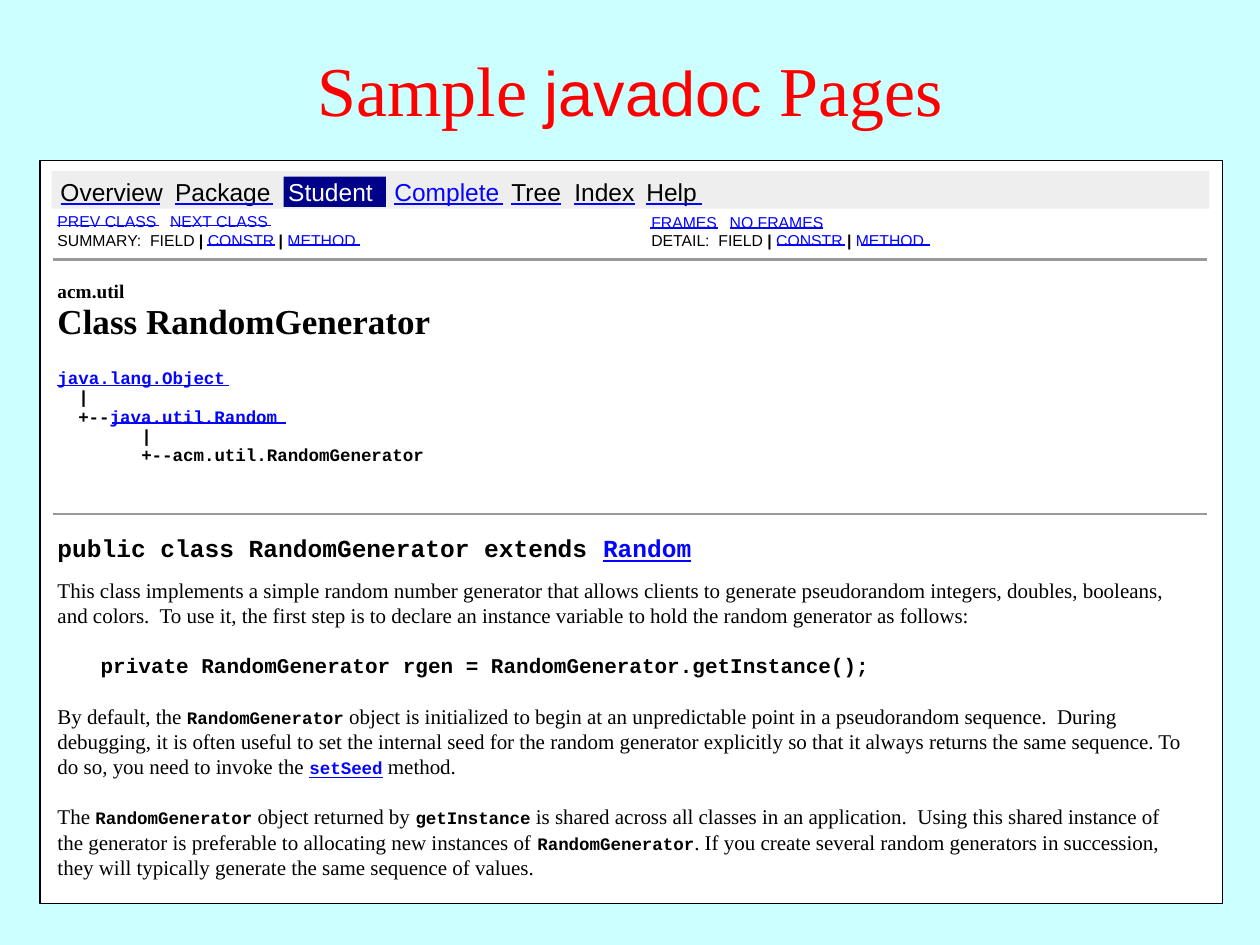
"""Build a slide showing a sample javadoc page for the RandomGenerator class."""
from lxml.etree import SubElement
from pptx import Presentation
from pptx.dml.color import RGBColor
from pptx.enum.shapes import MSO_CONNECTOR, MSO_SHAPE
from pptx.enum.text import MSO_ANCHOR, PP_ALIGN
from pptx.oxml.ns import qn
from pptx.util import Cm, Pt

BLACK, BLUE, RED, WHITE, GRAY = "000000", "0404FF", "FF0000", "FFFFFF", "999999"
SERIF, SANS, MONO = "Times New Roman", "Arial", "Courier New"
INSET = 0.25
PAGE_LEFT = 0.91
DETAIL_LEFT = 12.88

STYLES = {
    "title": (SERIF, 40, RED, False, False),
    "title sans": (SANS, 36, RED, False, False),
    "menu": (SANS, 14, BLACK, False, False),
    "menu link": (SANS, 14, BLUE, False, False),
    "menu current": (SANS, 14, WHITE, False, False),
    "small": (SANS, 9, BLACK, False, False),
    "small bold": (SANS, 9, BLACK, True, False),
    "small link": (SANS, 9, BLUE, False, False),
    "package": (SERIF, 11, BLACK, True, False),
    "class": (SERIF, 20, BLACK, True, False),
    "tree": (MONO, 10, BLACK, True, False),
    "tree link": (MONO, 10, BLUE, True, False),
    "declaration": (MONO, 14, BLACK, True, False),
    "declaration link": (MONO, 14, BLUE, True, True),
    "body": (SERIF, 12, BLACK, False, False),
    "code line": (MONO, 12, BLACK, True, False),
    "code": (MONO, 10, BLACK, True, False),
    "code link": (MONO, 10, BLUE, True, True),
}

PANELS = [
    (0.81, 3.23, 23.83, 14.99, WHITE, BLACK),
    (1.04, 3.45, 23.34, 0.76, "EEEEEE", None),
    (5.72, 3.56, 2.06, 0.61, "000088", None),
]
TITLE = [("Sample ", "title"), ("javadoc", "title sans"), (" Pages", "title")]
MENU = [
    ("Student", "menu current", 5.56, 0),
    ("Overview", "menu", 0.97, 2.01),
    ("Package", "menu", 3.28, 1.98),
    ("Complete", "menu link", 7.7, 2.18),
    ("Tree", "menu", 10.06, 0.99),
    ("Index", "menu", 11.33, 1.22),
    ("Help", "menu", 12.78, 1.12),
]
LINK_PAIRS = [
    ("PREV CLASS\tNEXT CLASS", PAGE_LEFT, 4.14, 2.27),
    ("FRAMES\tNO FRAMES", DETAIL_LEFT, 4.17, 1.58),
]
SECTIONS = [("DETAIL:  FIELD", DETAIL_LEFT), ("SUMMARY:  FIELD", PAGE_LEFT)]
UNDERLINES = [
    (1.14, 3.2, 4.55), (3.43, 5.46, 4.55),
    (13.11, 14.48, 4.6), (14.71, 16.59, 4.6),
    (15.67, 17.04, 4.94), (17.35, 18.75, 4.94),
    (4.17, 5.54, 4.94), (5.84, 7.26, 4.94),
    (1.14, 4.62, 7.77), (2.26, 5.77, 8.53),
]
RULES = [(1.07, 24.33, 5.23), (1.07, 24.33, 10.36)]
HEADINGS = [
    (5.51, 2.11, 0.74, [("acm.util", "package")]),
    (5.92, 8.53, 1.12, [("Class RandomGenerator", "class")]),
    (10.62, 18.06, 0.86, [("public class RandomGenerator extends ", "declaration"),
                          ("Random", "declaration link")]),
]
TREE = [
    (0, [("java.lang.Object", "tree link")]),
    (0.42, [("|", "tree")]),
    (0.42, [("+--", "tree"), ("java.util.Random", "tree link")]),
    (1.69, [("|", "tree")]),
    (1.69, [("+--acm.util.RandomGenerator", "tree")]),
]
DESCRIPTION = [
    (0, [("This class implements a simple random number generator that allows clients to "
          "generate pseudorandom integers, doubles, booleans, and colors.  To use it, the first "
          "step is to declare an instance variable to hold the random generator as follows:",
          "body")]),
    (0.87, [("private RandomGenerator rgen = RandomGenerator.getInstance();", "code line")]),
    (0, [("By default, the ", "body"), ("RandomGenerator", "code"),
         (" object is initialized to begin at an unpredictable point in a pseudorandom "
          "sequence.  During debugging, it is often useful to set the internal seed for the "
          "random generator explicitly so that it always returns the same sequence. To do so, "
          "you need to invoke the ", "body"),
         ("setSeed", "code link"), (" method.", "body")]),
    (0, [("The ", "body"), ("RandomGenerator", "code"), (" object returned by ", "body"),
         ("getInstance", "code"),
         (" is shared across all classes in an application.  Using this shared instance of the "
          "generator is preferable to allocating new instances of ", "body"),
         ("RandomGenerator", "code"),
         (". If you create several random generators in succession, they will typically "
          "generate the same sequence of values.", "body")]),
]


def color(value):
    return RGBColor.from_string(value)


def add_panel(slide, left, top, width, height, fill, line):
    shape = slide.shapes.add_shape(
        MSO_SHAPE.RECTANGLE, Cm(left), Cm(top), Cm(width), Cm(height))
    shape.shadow.inherit = False
    shape.fill.solid()
    shape.fill.fore_color.rgb = color(fill)
    if line:
        shape.line.color.rgb = color(line)
        shape.line.width = Pt(0.75)
    else:
        shape.line.fill.background()


def add_line(slide, start, end, top, line=BLUE, width=0.75):
    connector = slide.shapes.add_connector(
        MSO_CONNECTOR.STRAIGHT, Cm(start), Cm(top), Cm(end), Cm(top))
    connector.line.color.rgb = color(line)
    connector.line.width = Pt(width)
    SubElement(connector._element.spPr, qn("a:effectLst"))


def add_text(slide, left, top, width, height, paragraphs, pitch=None, gap=0):
    shape = slide.shapes.add_textbox(Cm(left), Cm(top), Cm(width), Cm(height))
    text_frame = shape.text_frame
    text_frame.word_wrap = True
    for index, (indent, runs) in enumerate(paragraphs):
        paragraph = text_frame.add_paragraph() if index else text_frame.paragraphs[0]
        if pitch:
            paragraph.line_spacing = Pt(pitch)
        if index and gap:
            paragraph.space_before = Pt(gap)
        if indent:
            paragraph._p.get_or_add_pPr().set("marL", str(Cm(indent)))
        for text, style in runs:
            run = paragraph.add_run()
            run.text = text
            name, size, shade, bold, underline = STYLES[style]
            run.font.name = name
            run.font.size = Pt(size)
            run.font.color.rgb = color(shade)
            run.font.bold = bold
            run.font.underline = underline
    return text_frame


def add_tab_stop(paragraph, position):
    tab_list = SubElement(paragraph._p.get_or_add_pPr(), qn("a:tabLst"))
    SubElement(tab_list, qn("a:tab"), pos=str(Cm(position)), algn="l")


def main():
    presentation = Presentation()
    presentation.slide_width, presentation.slide_height = Cm(25.4), Cm(19.05)
    slide = presentation.slides.add_slide(presentation.slide_layouts[6])
    slide.background.fill.solid()
    slide.background.fill.fore_color.rgb = color("CCFFFF")

    title = add_text(slide, 0, 0.2, 25.4, 3.18, [(0, TITLE)])
    title.vertical_anchor = MSO_ANCHOR.MIDDLE
    title.paragraphs[0].alignment = PP_ALIGN.CENTER

    for panel in PANELS:
        add_panel(slide, *panel)
    for label, style, left, underline in MENU:
        add_text(slide, left, 3.45, 2.64, 0.86, [(0, [(label, style)])])
        if underline:
            add_line(slide, left + INSET, left + INSET + underline, 4.11)
    for text, left, top, tab_stop in LINK_PAIRS:
        links = add_text(slide, left, top, 4.88, 0.64, [(0, [(text, "small link")])])
        add_tab_stop(links.paragraphs[0], tab_stop)
    for label, left in SECTIONS:
        runs = [(label, "small")]
        for link in ("CONSTR", "METHOD"):
            runs += [(" | ", "small bold"), (link, "small link")]
        add_text(slide, left, 4.52, 9.55, 0.64, [(0, runs)])
    for top, width, height, runs in HEADINGS:
        add_text(slide, PAGE_LEFT, top, width, height, [(0, runs)])
    add_text(slide, PAGE_LEFT, 7.32, 9.98, 2.54, TREE, pitch=10.9)
    add_text(slide, PAGE_LEFT, 11.51, 23.22, 6.35, DESCRIPTION, pitch=14.4, gap=14.4)
    for underline in UNDERLINES:
        add_line(slide, *underline)
    for rule in RULES:
        add_line(slide, *rule, line=GRAY, width=1.5)

    presentation.save("out.pptx")


if __name__ == "__main__":
    main()
